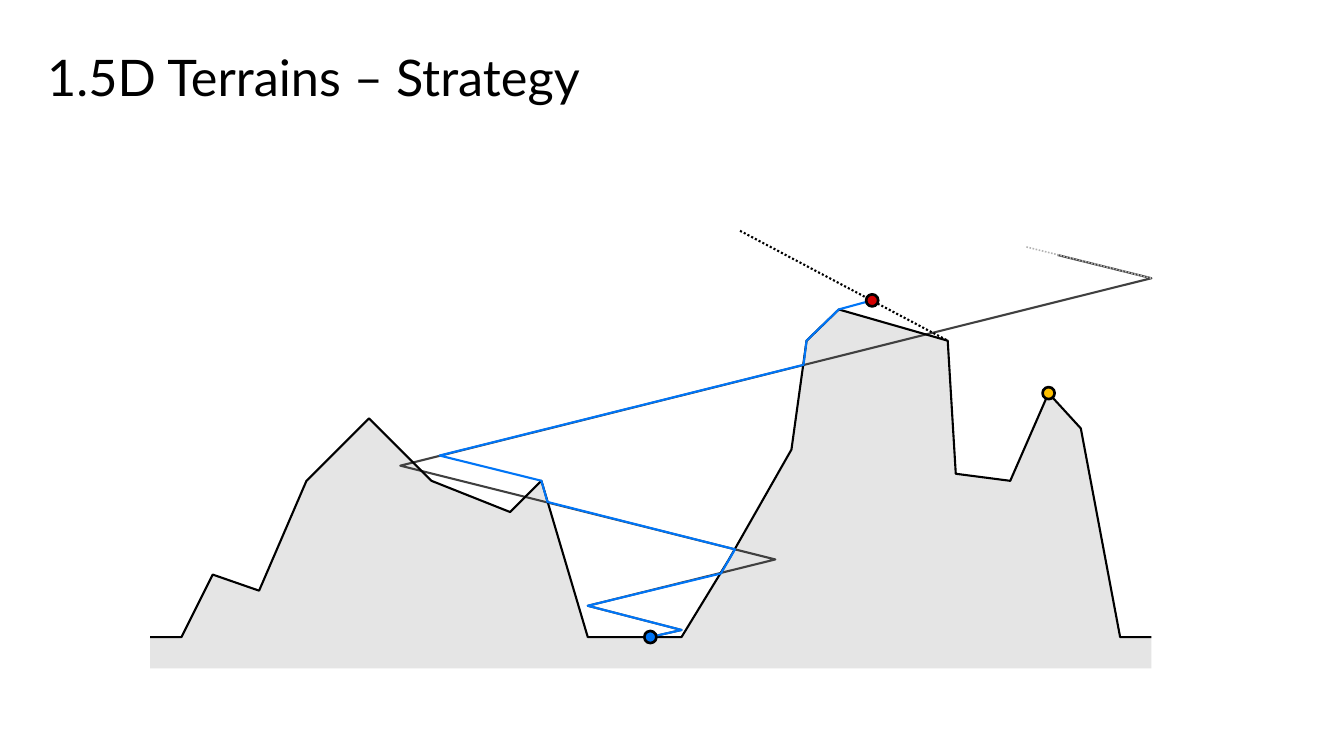
import pptx
import pptx.dml.color
import pptx.enum.dml
import pptx.enum.shapes
import pptx.enum.text
import pptx.oxml
import pptx.util
from pptx.util import Inches

COLORS = {
    "black": "000000",
    "ground": "E5E5E5",
    "zigzag": "404040",
    "faded": "B2B2B2",
    "route": "0075F6",
    "red": "D50000",
    "gold": "FFC000",
}

SURFACE = [
    (1.49, 6.32), (1.8, 6.32), (2.11, 5.7), (2.57, 5.86), (3.04, 4.77),
    (3.66, 4.15), (4.28, 4.77), (5.06, 5.08), (5.37, 4.77), (5.83, 6.32),
    (6.76, 6.32), (7.23, 5.55), (7.85, 4.46), (8, 3.38), (8.32, 3.07),
    (9.4, 3.38), (9.48, 4.7), (10.02, 4.77), (10.4, 3.9), (10.72, 4.25),
    (11.11, 6.32), (11.42, 6.32),
]
GROUND = SURFACE + [(11.42, 6.63), (1.49, 6.63)]
ZIGZAG = [
    (6.45, 6.32), (6.76, 6.25), (5.83, 6.01), (7.69, 5.55),
    (3.97, 4.62), (11.42, 2.76), (10.49, 2.53),
]
ROUTE = [
    (6.45, 6.32), (6.76, 6.25), (5.83, 6.01), (7.15, 5.69),
    (7.29, 5.45), (5.43, 4.98), (5.37, 4.77), (4.36, 4.52),
    (7.97, 3.62), (8, 3.38), (8.32, 3.07), (8.65, 2.98),
]
MARKERS = [(6.45, 6.32, "route"), (8.65, 2.98, "red"), (10.4, 3.9, "gold")]
MARKER_SIZE = 0.12


def rgb(name):
    return pptx.dml.color.RGBColor.from_string(COLORS[name])


def apply_format(target, values):
    for name, value in values.items():
        setattr(target, name, value)


def style_line(line, color, width):
    line.color.rgb = rgb(color)
    line.width = pptx.util.Pt(width)


def add_outline(page, points, fill=None, line=None):
    vertices = [(Inches(x), Inches(y)) for x, y in points]
    builder = page.shapes.build_freeform(*vertices[0])
    builder.add_line_segments(vertices[1:], close=fill is not None)
    shape = builder.convert_to_shape()
    shape.shadow.inherit = False
    if fill:
        shape.fill.solid()
        shape.fill.fore_color.rgb = rgb(fill)
    else:
        shape.fill.background()
    if line:
        style_line(shape.line, line, 1.5)
    else:
        shape.line.fill.background()


def add_dotted_line(page, start, end, color, width):
    ends = [Inches(value) for value in start + end]
    connector = page.shapes.add_connector(
        pptx.enum.shapes.MSO_CONNECTOR.STRAIGHT, *ends)
    style_line(connector.line, color, width)
    connector.line.dash_style = pptx.enum.dml.MSO_LINE.ROUND_DOT
    properties = connector._element.spPr
    properties.append(pptx.oxml.parse_xml(
        '<a:effectLst xmlns:a="http://schemas.openxmlformats.org/drawingml/2006/main"/>'))


def add_marker(page, x, y, color):
    marker = page.shapes.add_shape(
        pptx.enum.shapes.MSO_SHAPE.OVAL,
        Inches(x - MARKER_SIZE / 2), Inches(y - MARKER_SIZE / 2),
        Inches(MARKER_SIZE), Inches(MARKER_SIZE))
    marker.shadow.inherit = False
    marker.fill.solid()
    marker.fill.fore_color.rgb = rgb(color)
    style_line(marker.line, "black", 1.9)


def add_title(page, text):
    box = page.shapes.add_textbox(
        Inches(0.37), Inches(0.4), Inches(12.6), Inches(0.79))
    apply_format(box.text_frame, {
        "word_wrap": True,
        "vertical_anchor": pptx.enum.text.MSO_ANCHOR.MIDDLE,
    })
    para = box.text_frame.paragraphs[0]
    para.line_spacing = 0.9
    span = para.add_run()
    span.text = text
    apply_format(span.font, {"name": "Lato", "size": pptx.util.Pt(36)})
    span.font.color.rgb = rgb("black")


def main():
    deck = pptx.Presentation()
    apply_format(deck, {
        "slide_width": Inches(13.33),
        "slide_height": Inches(7.5),
    })
    page = deck.slides.add_slide(deck.slide_layouts[6])
    add_outline(page, GROUND, fill="ground")
    add_title(page, "1.5D Terrains – Strategy")
    add_outline(page, ZIGZAG, line="zigzag")
    add_outline(page, SURFACE, line="black")
    add_outline(page, ROUTE, line="route")
    add_dotted_line(page, (10.18, 2.45), (11.42, 2.76), "faded", 1.12)
    add_dotted_line(page, (7.34, 2.29), (9.4, 3.38), "black", 1.5)
    for x, y, color in MARKERS:
        add_marker(page, x, y, color)
    deck.save("out.pptx")


if __name__ == "__main__":
    main()
